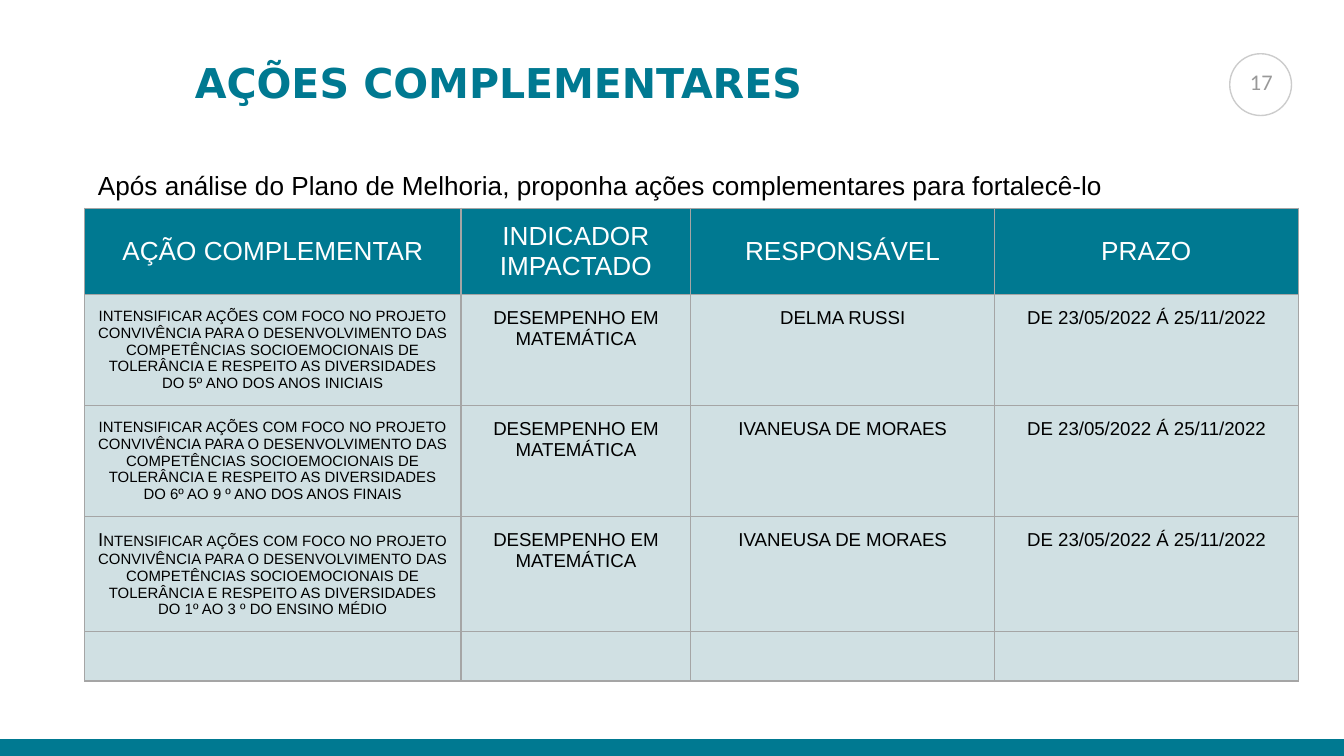
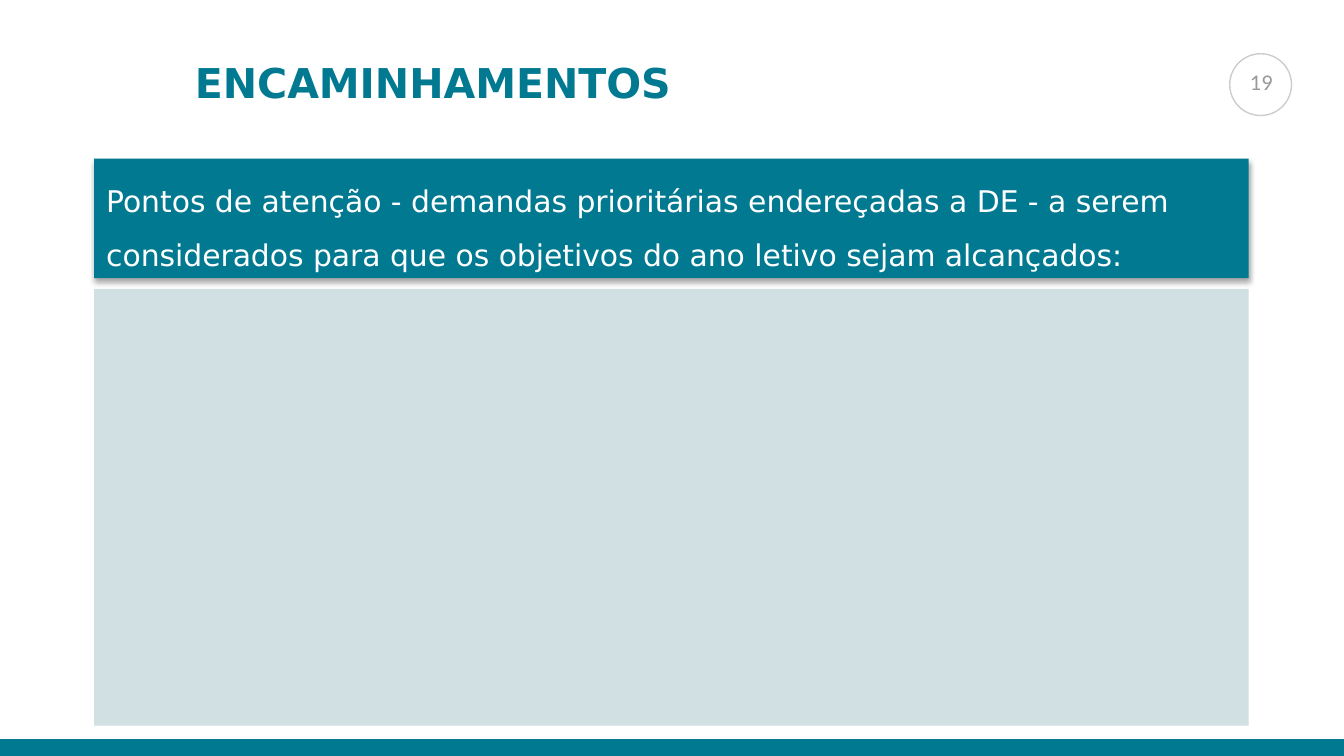
"""Build two school planning slides: complementary actions and referrals."""
import pptx
import pptx.dml.color
import pptx.enum.shapes
import pptx.enum.text
import pptx.oxml
import pptx.oxml.ns
import pptx.util
from pptx.util import Inches

COLORS = {
    "teal": "007991",
    "pale": "D0E0E3",
    "white": "FFFFFF",
    "black": "000000",
    "ring": "CCCCCC",
    "number": "999999",
    "border": "A5A5A5",
}
TITLE_FONT, BODY_FONT, NUMBER_FONT = "DejaVu Sans", "Arial", "Calibri"
SHAPES = pptx.enum.shapes.MSO_SHAPE
ALIGN = pptx.enum.text.PP_ALIGN
ANCHOR = pptx.enum.text.MSO_ANCHOR
NAMESPACE = pptx.oxml.ns.nsdecls("a")

HEADERS = ["AÇÃO COMPLEMENTAR", "INDICADOR IMPACTADO", "RESPONSÁVEL", "PRAZO"]
ACTION = ("NTENSIFICAR AÇÕES COM FOCO NO PROJETO CONVIVÊNCIA PARA O DESENVOLVIMENTO DAS "
          "COMPETÊNCIAS SOCIOEMOCIONAIS DE TOLERÂNCIA E RESPEITO AS DIVERSIDADES ")
INDICATOR = "DESEMPENHO EM MATEMÁTICA"
DEADLINE = "DE 23/05/2022 Á 25/11/2022"
ACTION_ROWS = [
    ([("I" + ACTION + "DO 5º ANO DOS ANOS INICIAIS", 8)], "DELMA RUSSI"),
    ([("I" + ACTION + "DO 6º AO 9 º ANO DOS ANOS FINAIS", 8)], "IVANEUSA DE MORAES"),
    ([("I", 10), (ACTION + "DO 1º AO 3 º DO ENSINO MÉDIO", 8)], "IVANEUSA DE MORAES"),
]
COLUMN_WIDTHS = [2.8, 1.71, 2.26, 2.26]
ROW_HEIGHTS = [0.64, 0.82, 0.82, 0.85, 0.35]


def rgb(name):
    """Return the named colour."""
    return pptx.dml.color.RGBColor.from_string(COLORS[name])


def add_span(para, text, size, color, font=BODY_FONT, bold=False):
    """Add one formatted run to a paragraph."""
    span = para.add_run()
    span.text = text
    span.font.size = pptx.util.Pt(size)
    span.font.name = font
    span.font.bold = bold
    span.font.color.rgb = rgb(color)


def set_frame(frame, anchor=ANCHOR.TOP, side=0.1, edge=0.05):
    """Wrap a text frame, set its anchor and insets, and return its paragraph."""
    frame.word_wrap = True
    frame.auto_size = pptx.enum.text.MSO_AUTO_SIZE.NONE
    frame.vertical_anchor = anchor
    frame.margin_left = frame.margin_right = Inches(side)
    frame.margin_top = frame.margin_bottom = Inches(edge)
    return frame.paragraphs[0]


def add_box(page, kind, left, top, width, height, fill=None, line=None):
    """Add a flat preset shape."""
    box = page.shapes.add_shape(
        kind, Inches(left), Inches(top), Inches(width), Inches(height))
    box.shadow.inherit = False
    if fill:
        box.fill.solid()
        box.fill.fore_color.rgb = rgb(fill)
    else:
        box.fill.background()
    if line:
        box.line.color.rgb = rgb(line)
        box.line.width = pptx.util.Pt(0.75)
    else:
        box.line.fill.background()
    return box


def add_label(page, text, left, top, width, height, size, color,
              font=BODY_FONT, align=ALIGN.LEFT):
    """Add a one-paragraph text box."""
    box = page.shapes.add_textbox(
        Inches(left), Inches(top), Inches(width), Inches(height))
    para = set_frame(box.text_frame)
    para.alignment = align
    add_span(para, text, size, color, font)


def add_page(deck, title, number):
    """Add a slide with the shared band, number ring and title."""
    page = deck.slides.add_slide(deck.slide_layouts[5])
    add_box(page, SHAPES.RECTANGLE, 0, 5.5, 10, 0.14, fill="teal")
    add_box(page, SHAPES.OVAL, 9.15, 0.4, 0.46, 0.46, line="ring")
    add_label(page, number, 9.11, 0.46, 0.55, 0.3, 12, "number", NUMBER_FONT, ALIGN.CENTER)
    heading = page.shapes.title
    heading.left, heading.top = Inches(1.35), Inches(0.38)
    heading.width, heading.height = Inches(8.32), Inches(0.51)
    para = set_frame(heading.text_frame)
    para.alignment = ALIGN.LEFT
    add_span(para, title, 22, "teal", TITLE_FONT, bold=True)
    return page


def add_drop_shadow(box):
    """Give a shape a soft shadow that falls downwards."""
    effects = box._element.spPr.find(pptx.oxml.ns.qn("a:effectLst"))
    effects.append(pptx.oxml.parse_xml(
        f'<a:outerShdw {NAMESPACE} blurRad="{pptx.util.Pt(3.1)}" dist="{pptx.util.Pt(1.8)}" '
        f'dir="5400000" rotWithShape="0"><a:srgbClr val="{COLORS["black"]}">'
        '<a:alpha val="35000"/></a:srgbClr></a:outerShdw>'))


def fill_cell(cell, spans, fill, color, anchor):
    """Write the spans of a cell and set its fill and borders."""
    cell.margin_left = cell.margin_right = Inches(0.1)
    cell.margin_top = cell.margin_bottom = Inches(0.1)
    cell.vertical_anchor = anchor
    para = cell.text_frame.paragraphs[0]
    para.alignment = ALIGN.CENTER
    for text, size in spans:
        add_span(para, text, size, color)
    if not spans:
        para._p.append(pptx.oxml.parse_xml(f'<a:endParaRPr {NAMESPACE} sz="1000"/>'))
    properties = cell._tc.get_or_add_tcPr()
    for side in ("lnL", "lnR", "lnT", "lnB"):
        properties.append(pptx.oxml.parse_xml(
            f'<a:{side} {NAMESPACE} w="{pptx.util.Pt(0.75)}"><a:solidFill>'
            f'<a:srgbClr val="{COLORS["border"]}"/></a:solidFill></a:{side}>'))
    cell.fill.solid()
    cell.fill.fore_color.rgb = rgb(fill)


def add_action_table(page):
    """Add the table of complementary actions."""
    rows = [[[(header, 14)] for header in HEADERS]]
    for action, owner in ACTION_ROWS:
        rows.append([action, [(INDICATOR, 10)], [(owner, 10)], [(DEADLINE, 10)]])
    rows.append([[] for _ in HEADERS])
    table = page.shapes.add_table(
        len(rows), len(HEADERS), Inches(0.63), Inches(1.55),
        Inches(sum(COLUMN_WIDTHS)), Inches(sum(ROW_HEIGHTS))).table
    for column, width in zip(table.columns, COLUMN_WIDTHS):
        column.width = Inches(width)
    for row, height in zip(table.rows, ROW_HEIGHTS):
        row.height = Inches(height)
    for row_index, row in enumerate(rows):
        style = (("pale", "black", ANCHOR.TOP) if row_index
                 else ("teal", "white", ANCHOR.MIDDLE))
        for column_index, spans in enumerate(row):
            fill_cell(table.cell(row_index, column_index), spans, *style)


def add_attention_panel(page):
    """Add the attention heading and the blank area below it."""
    banner = add_box(page, SHAPES.RECTANGLE, 0.7, 1.18, 8.59, 0.89, fill="teal")
    add_drop_shadow(banner)
    para = set_frame(banner.text_frame, ANCHOR.MIDDLE, 0.09, 0.04)
    para.alignment = ALIGN.LEFT
    para.line_spacing = 1.5
    add_span(para, "Pontos de atenção - demandas prioritárias endereçadas a DE - a serem "
             "considerados para que os objetivos do ano letivo sejam alcançados:",
             16, "white", TITLE_FONT)
    add_box(page, SHAPES.RECTANGLE, 0.7, 2.15, 8.59, 3.25, fill="pale")


def main():
    """Build and save the deck."""
    deck = pptx.Presentation()
    deck.slide_width = Inches(10)
    deck.slide_height = deck.slide_width * 9 // 16
    actions = add_page(deck, "AÇÕES COMPLEMENTARES", "17")
    add_action_table(actions)
    add_label(actions, "Após análise do Plano de Melhoria, proponha ações complementares "
              "para fortalecê-lo", 0.63, 1.21, 8.68, 0.34, 14, "black")
    add_attention_panel(add_page(deck, "ENCAMINHAMENTOS", "19"))
    deck.save("out.pptx")


if __name__ == "__main__":
    main()
